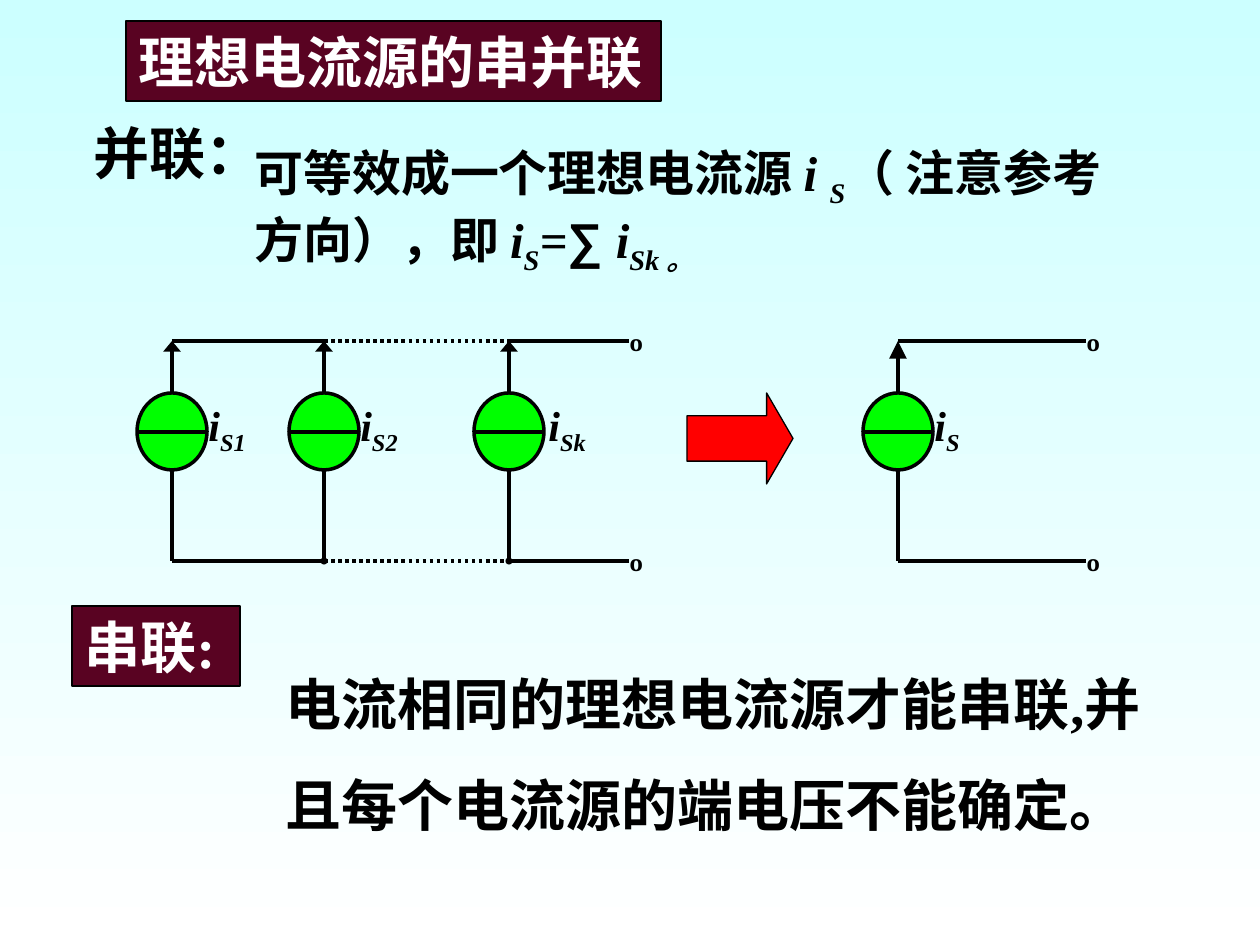
"""Build the slide on ideal current sources in parallel and in series."""
import pptx
import pptx.dml.color
import pptx.enum.dml
import pptx.enum.shapes
import pptx.enum.text
import pptx.util
from lxml import etree

PX = 914400 / 126
NS = "{http://schemas.openxmlformats.org/drawingml/2006/main}"
SHAPES = pptx.enum.shapes.MSO_SHAPE
ALIGN = pptx.enum.text.PP_ALIGN
ANCHOR = pptx.enum.text.MSO_ANCHOR
hex_color = pptx.dml.color.RGBColor.from_string

deck = pptx.Presentation()
deck.slide_width, deck.slide_height = round(1260 * PX), round(945 * PX)
slide = deck.slides.add_slide(deck.slide_layouts[6])
backdrop = slide.background.fill
backdrop.gradient()
backdrop.gradient_angle = 270
for stop, color in zip(backdrop.gradient_stops, ("CCFFFF", "FFFFFF")):
    stop.color.rgb = hex_color(color)


def write(box, runs, size, color="000000", wrap=True, align=ALIGN.LEFT, anchor=ANCHOR.TOP, spacing=None):
    frame = box.text_frame
    frame.word_wrap = wrap
    frame.auto_size = pptx.enum.text.MSO_AUTO_SIZE.SHAPE_TO_FIT_TEXT
    frame.vertical_anchor = anchor
    paragraph = frame.paragraphs[0]
    paragraph.alignment = align
    if spacing:
        paragraph.line_spacing = spacing
    for words, style in runs:
        run = paragraph.add_run()
        run.text = words
        run.font.name = "Arial" if "arial" in style else "Times New Roman"
        run.font.size = pptx.util.Pt(size)
        run.font.bold = True
        run.font.italic = "italic" in style
        run.font.color.rgb = hex_color(color)
        if "sub" in style:
            run.font._element.set("baseline", "-25000")


def wire(x1, y1, x2, y2, tip=None, dotted=False):
    line = slide.shapes.add_connector(
        pptx.enum.shapes.MSO_CONNECTOR.STRAIGHT, *(round(v * PX) for v in (x1, y1, x2, y2)))
    line.line.color.rgb = hex_color("000000")
    line.line.width = pptx.util.Pt(2)
    if dotted:
        line.line.dash_style = pptx.enum.dml.MSO_LINE.ROUND_DOT
    if tip:
        kind, width, length = tip
        etree.SubElement(line.line._get_or_add_ln(), NS + "tailEnd", type=kind, w=width, len=length)
    etree.SubElement(line._element.spPr, NS + "effectLst")


passages = [
    ((242, 136, 903, 146), 28, True, None, [
        ("可等效成一个理想电流源 ", ""), ("i ", "italic"), ("S", "italic sub"),
        ("（ 注意参考方向），即 ", ""), ("i", "italic"), ("S", "italic sub"), ("=", "italic"),
        ("∑ ", "arial"), ("i", "italic"), ("Sk 。", "italic sub")]),
    ((273, 630, 892, 214), 32, True, 1.5, [
        ("电流相同的理想电流源才能串联,并且每个电流源的端电压不能确定。", "")]),
    ((81, 112, 193, 81), 32, False, None, [("并联：", "")]),
]
for place, size, wrap, spacing, runs in passages:
    passage = slide.shapes.add_textbox(*(round(v * PX) for v in place))
    write(passage, runs, size, wrap=wrap, spacing=spacing)

filled = [
    (SHAPES.RECTANGLE, (126, 21, 535, 80), "590322", 1, "理想电流源的串并联", True),
    (SHAPES.RECTANGLE, (72, 606, 168, 80), "590322", 0.75, "串联:", False),
    (SHAPES.RIGHT_ARROW, (687, 393, 106, 91), "FF0000", 0.75, None, True),
]
sources = [
    (172, 24, 93, "S1", None, "med"),
    (324, 24, 102, "S2", "oval", "med"),
    (509, 27, 106, "Sk", "oval", "med"),
    (898, 24, 82, "S", None, "lg"),
]
filled += [(SHAPES.OVAL, (axis - 35, 393, 70, 77), "00FF00", 2, None, True) for axis, *_ in sources]
for kind, place, color, outline, heading, wrap in filled:
    block = slide.shapes.add_shape(kind, *(round(v * PX) for v in place))
    block.shadow.inherit = False
    block.fill.solid()
    block.fill.fore_color.rgb = hex_color(color)
    block.line.color.rgb = hex_color("000000")
    block.line.width = pptx.util.Pt(outline)
    if kind == SHAPES.RIGHT_ARROW:
        block.adjustments[0], block.adjustments[1] = 0.5, 0.29
    if heading:
        write(block, [(heading, "")], 32, "FFFFFF", wrap)

for axis, gap, width, subscript, joint, head in sources:
    wire(axis - 35, 432, axis + 35, 432)
    wire(axis, 470, axis, 561, joint and (joint, "sm", "sm"))
    wire(axis, 393, axis, 341, ("triangle", "lg", head))
    label = slide.shapes.add_textbox(*(round(v * PX) for v in (axis + gap, 393, width, 71)))
    write(label, [("i", "italic"), (subscript, "italic sub")], 24)

for rail in (341, 561):
    for start, end, dotted in ((172, 324, False), (324, 509, True), (509, 629, False), (898, 1086, False)):
        wire(start, rail, end, rail, dotted=dotted)
    for end in (629, 1086):
        terminal = slide.shapes.add_textbox(*(round(v * PX) for v in (end - 12, rail - 22, 28, 63)))
        write(terminal, [("º", "")], 24, align=ALIGN.CENTER, anchor=ANCHOR.MIDDLE)

deck.save("out.pptx")
